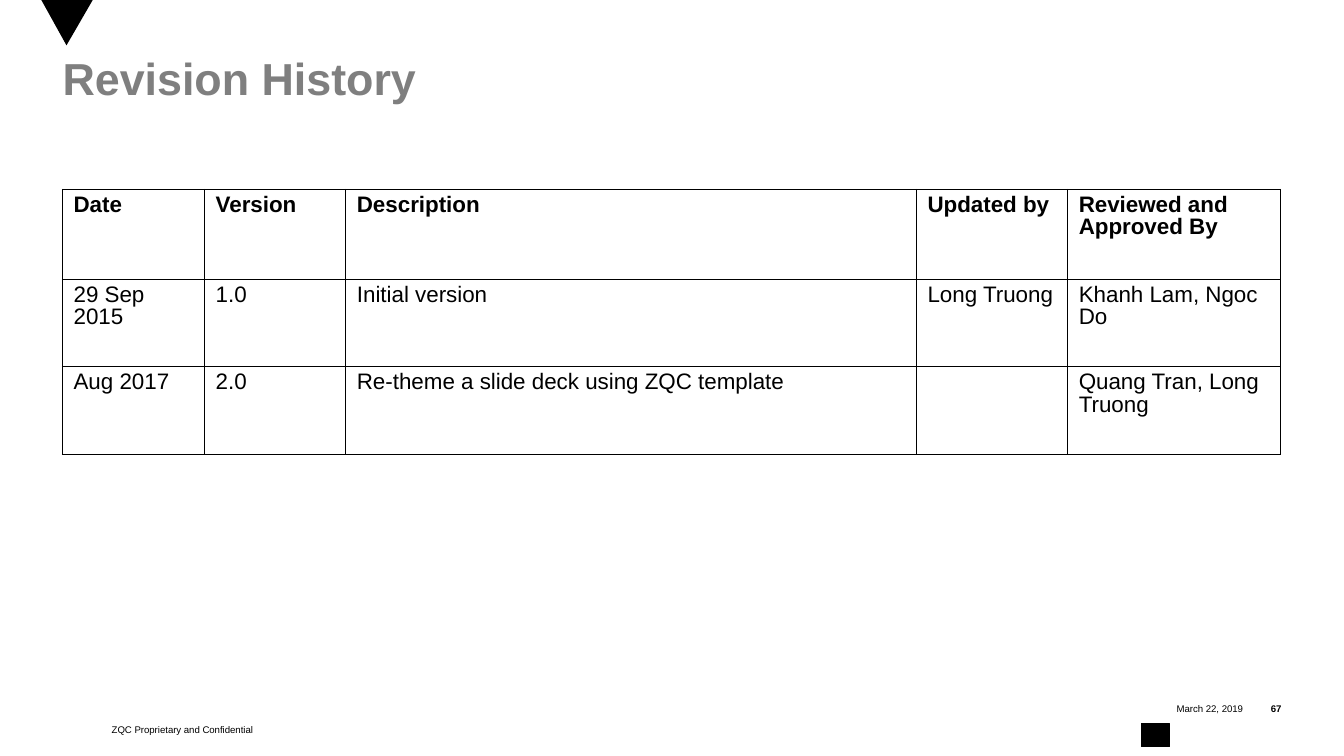
from lxml import etree
from pptx import Presentation
from pptx.dml.color import RGBColor
from pptx.enum import shapes, text
from pptx.oxml import ns
from pptx.util import Inches, Pt

TITLE = "Revision History"
ROWS = [
    ("Date", "Version", "Description", "Updated by", "Reviewed and Approved By"),
    ("29 Sep 2015", "1.0", "Initial version", "Long Truong", "Khanh Lam, Ngoc Do"),
    ("Aug 2017", "2.0", "Re-theme a slide deck using ZQC template", "",
     "Quang Tran, Long Truong"),
]
WIDTHS = [1.41, 1.4, 5.66, 1.5, 2.11]
HEIGHTS = [0.89, 0.87, 0.87]
LEFT, TOP = 0.62, 1.88
ALIGN = text.PP_ALIGN
# words, box, wrap, format
FOOTERS = [
    ("March 22, 2019", (10.84, 6.91, 1.49, 0.25), False, dict(align=ALIGN.RIGHT)),
    ("67", (12.33, 6.91, 0.38, 0.25), True, dict(align=ALIGN.RIGHT, bold=True)),
    ("ZQC Proprietary and Confidential", (-0.48, 7.11, 4.58, 0.25), False,
     dict(align=ALIGN.CENTER)),
]


def rgb(code):
    return RGBColor.from_string(code)


def write(frame, words, size=16, color="000000", bold=False, align=ALIGN.LEFT,
          space=1.0, pad=(0, 0), anchor=text.MSO_ANCHOR.TOP, wrap=True):
    frame.margin_left = frame.margin_right = Inches(pad[0])
    frame.margin_top = frame.margin_bottom = Inches(pad[1])
    frame.vertical_anchor = anchor
    frame.word_wrap = wrap
    para = frame.paragraphs[0]
    para.alignment, para.line_spacing = align, space
    run = para.add_run()
    run.text = words
    font = run.font
    font.name, font.size, font.bold = "Arial", Pt(size), bold
    font.color.rgb = rgb(color)


def paint(shape):
    shape.shadow.inherit = False
    shape.fill.solid()
    shape.fill.fore_color.rgb = rgb("000000")


def edge(cell):
    """Draw a thin black line on all four sides of a cell."""
    props = cell._tc.get_or_add_tcPr()
    for side in ("lnL", "lnR", "lnT", "lnB"):
        line = etree.SubElement(props, ns.qn("a:" + side), w=str(Pt(1)))
        fill = etree.SubElement(line, ns.qn("a:solidFill"))
        etree.SubElement(fill, ns.qn("a:srgbClr"), val="000000")


def main():
    deck = Presentation()
    deck.slide_width, deck.slide_height = Inches(13.33), Inches(7.5)
    slide = deck.slides.add_slide(deck.slide_layouts[5])
    items = slide.shapes

    pen = items.build_freeform(Inches(0.41), 0)
    pen.add_line_segments([(Inches(0.66), Inches(0.45)), (Inches(0.92), 0)])
    mark = pen.convert_to_shape()
    paint(mark)
    mark.line.fill.background()

    for words, box, wrap, style in FOOTERS:
        note = items.add_textbox(*map(Inches, box))
        write(note.text_frame, words, size=6.9, wrap=wrap,
              anchor=text.MSO_ANCHOR.MIDDLE, **style)

    title = items.title
    title.left, title.top = Inches(LEFT), Inches(0.58)
    title.width, title.height = Inches(sum(WIDTHS)), Inches(1.29)
    write(title.text_frame, TITLE, size=32, color="7F7F7F", bold=True, space=0.85)

    table = items.add_table(len(ROWS), len(WIDTHS), Inches(LEFT), Inches(TOP),
                            Inches(sum(WIDTHS)), Inches(sum(HEIGHTS))).table
    table.first_row = table.horz_banding = False
    for col, width in zip(table.columns, WIDTHS):
        col.width = Inches(width)
    for i, (row, height) in enumerate(zip(ROWS, HEIGHTS)):
        table.rows[i].height = Inches(height)
        for j, words in enumerate(row):
            cell = table.cell(i, j)
            edge(cell)
            cell.fill.background()
            cell.margin_left = cell.margin_right = Inches(0.11)
            cell.margin_top = cell.margin_bottom = Inches(0.05)
            if words:
                write(cell.text_frame, words, bold=i == 0, space=0.9,
                      pad=(0.11, 0.05))

    back = items.add_shape(shapes.MSO_SHAPE.ACTION_BUTTON_RETURN, Inches(11.32),
                           Inches(7.18), Inches(0.28), Inches(0.23))
    paint(back)
    back.line.color.rgb = rgb("000000")
    back.line.width = Pt(0.75)

    deck.save("out.pptx")


if __name__ == "__main__":
    main()
